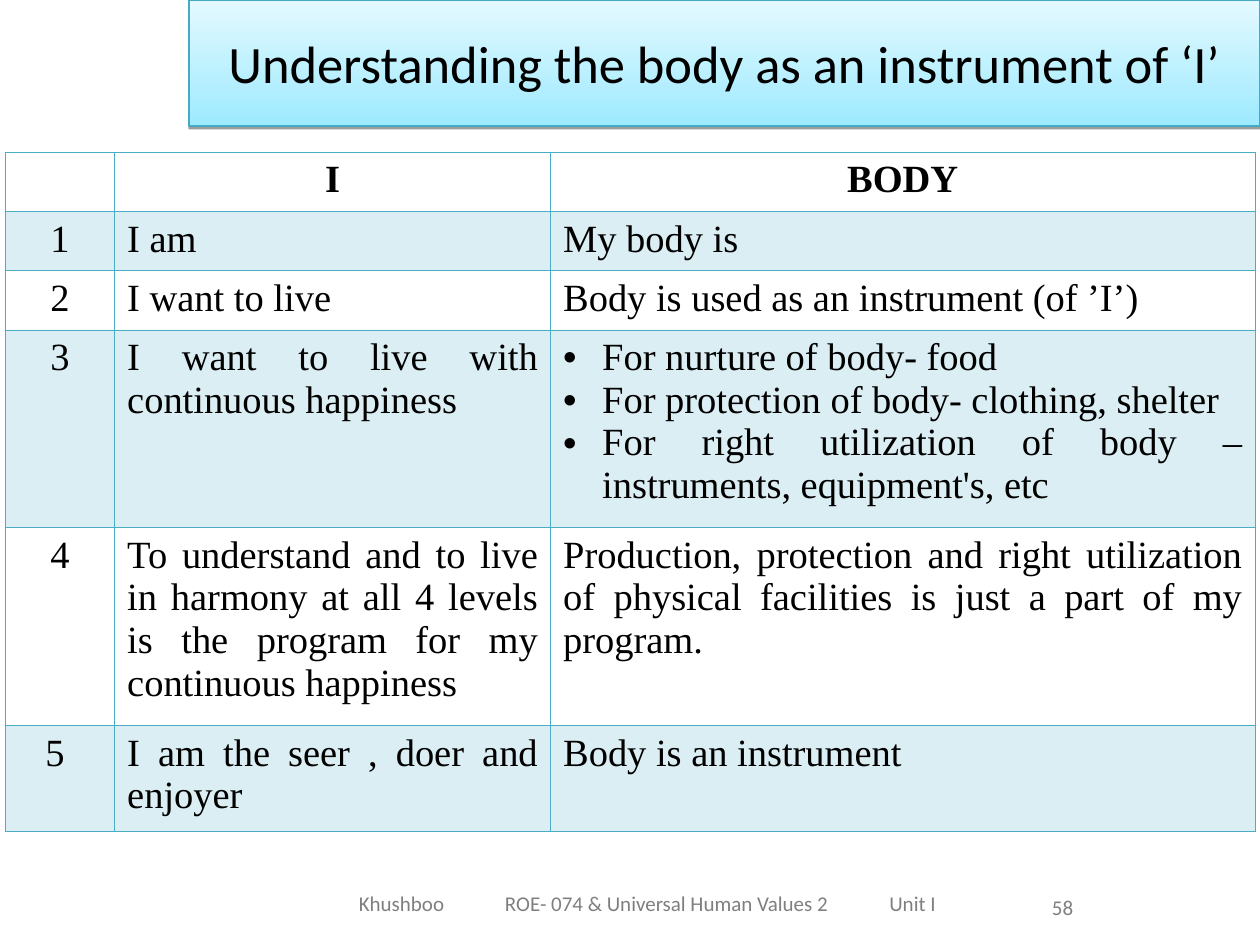
from lxml.etree import SubElement
from pptx import Presentation
from pptx.dml.color import RGBColor
from pptx.enum.text import MSO_ANCHOR as Anchor, MSO_AUTO_SIZE as AutoSize, PP_ALIGN as Align
from pptx.oxml import parse_xml
from pptx.oxml.ns import nsdecls, qn
from pptx.util import Inches, Pt

TEAL = "4BACC6"
BLACK = "000000"
GREY = "7F7F7F"
COLUMN_WIDTHS = (0.87, 3.46, 5.59)
ROW_HEIGHTS = (0.47, 0.47, 0.47, 1.57, 1.57, 0.84)
ROWS = (
    ("", "I", "BODY"),
    ("1", "I am", "My body is"),
    ("2", "I want to live", "Body is used as an instrument (of ’I’) "),
    ("3", "I want to live with continuous happiness",
     ("For nurture of body- food",
      "For protection of body- clothing, shelter",
      "For right utilization of body – instruments, equipment's, etc")),
    ("4", "To understand and to live in harmony at all 4 levels is the program for my "
          "continuous happiness",
     "Production, protection and right utilization of physical facilities is just a part "
     "of my program."),
    ("5 ", "I am the seer , doer and enjoyer ", "Body is an instrument "),
)


def colour(code):
    """Turn a hex string into a colour."""
    return RGBColor.from_string(code)


def place(shape, box):
    """Move and size a shape to a box given in inches."""
    shape.left, shape.top, shape.width, shape.height = map(Inches, box)


def format_runs(para, font_name, size, code, bold=False):
    """Give every run of a paragraph its font."""
    for span in para.runs:
        span.font.name = font_name
        span.font.size = Pt(size)
        span.font.bold = bold
        span.font.color.rgb = colour(code)


def add_bullet(para):
    """Give a paragraph a black bullet with a hanging indent."""
    settings = para._p.get_or_add_pPr()
    settings.set("marL", str(Inches(0.31)))
    settings.set("indent", str(-Inches(0.31)))
    bullet_colour = SubElement(settings, qn("a:buClr"))
    SubElement(bullet_colour, qn("a:srgbClr"), val=BLACK)
    SubElement(settings, qn("a:buFont"), typeface="Arial")
    SubElement(settings, qn("a:buChar"), char="•")


def add_tabs(para, stops):
    """Add left tab stops, given in inches, to a paragraph."""
    tab_list = SubElement(para._p.get_or_add_pPr(), qn("a:tabLst"))
    for stop in stops:
        SubElement(tab_list, qn("a:tab"), pos=str(Inches(stop)), algn="l")


def set_borders(cell, widths):
    """Draw the left, right, top and bottom borders of a cell."""
    settings = cell._tc.get_or_add_tcPr()
    for index, (side, width) in enumerate(zip("LRTB", widths)):
        settings.insert(index, parse_xml(
            f'<a:ln{side} {nsdecls("a")} w="{Pt(width)}"><a:solidFill>'
            f'<a:srgbClr val="{TEAL}"/></a:solidFill></a:ln{side}>'))


def shade(cell, banded):
    """Fill a banded cell with pale teal and leave others clear."""
    if not banded:
        cell.fill.background()
        return
    cell.fill.solid()
    cell.fill.fore_color.rgb = colour(TEAL)
    tint = cell._tc.tcPr.find(qn("a:solidFill")).find(qn("a:srgbClr"))
    SubElement(tint, qn("a:alpha"), val="20000")


def fill_cell(cell, content, align, bold):
    """Write one paragraph, or a bulleted list, into a cell."""
    bulleted = isinstance(content, tuple)
    cell.text_frame.text = "\n".join(content) if bulleted else content
    for para in cell.text_frame.paragraphs:
        para.alignment = align
        format_runs(para, "Times New Roman", 22, BLACK, bold)
        if bulleted:
            add_bullet(para)


def build_title(page, box):
    """Format the title as a gradient banner with a soft edge below."""
    title = page.shapes.title
    place(title, box)
    title.fill.gradient()
    title.fill.gradient_angle = 90
    for stop, code in zip(title.fill.gradient_stops, ("9EEAFF", "E4F9FF")):
        stop.color.rgb = colour(code)
    title.line.color.rgb = colour("46AAC5")
    title.line.width = Pt(0.75)
    title.shadow.inherit = False
    effects = title._element.spPr.find(qn("a:effectLst"))
    shadow = SubElement(effects, qn("a:outerShdw"), blurRad="0", dist=str(Pt(1.6)),
                        dir="5400000", rotWithShape="0")
    SubElement(SubElement(shadow, qn("a:srgbClr"), val=BLACK), qn("a:alpha"), val="38000")
    frame = title.text_frame
    frame.text = "Understanding the body as an instrument of ‘I’"
    frame.auto_size = AutoSize.NONE
    frame.word_wrap = True
    frame.vertical_anchor = Anchor.MIDDLE
    frame.paragraphs[0].alignment = Align.CENTER
    format_runs(frame.paragraphs[0], "Calibri", 30, BLACK)


def build_table(page, box):
    """Add the table that compares I with the body."""
    table = page.shapes.add_table(len(ROWS), len(COLUMN_WIDTHS), *map(Inches, box)).table
    table.first_row = table.horz_banding = False
    for column, width in zip(table.columns, COLUMN_WIDTHS):
        column.width = Inches(width)
    for row, height in zip(table.rows, ROW_HEIGHTS):
        row.height = Inches(height)
    for row_index, contents in enumerate(ROWS):
        header = row_index == 0
        top = 0.96 if row_index == 1 else 0.45
        bottom = 0.96 if header else 0.45
        for column_index, content in enumerate(contents):
            cell = table.cell(row_index, column_index)
            centred = header or column_index == 0
            fill_cell(cell, content, Align.CENTER if centred else Align.JUSTIFY, header)
            shade(cell, row_index % 2 == 1)
            set_borders(cell, (0.45, 0.45, top, bottom))


def build_footer(page, box, text, stops=()):
    """Add a line of grey footer text."""
    frame = page.shapes.add_textbox(*map(Inches, box)).text_frame
    frame.word_wrap = True
    para = frame.paragraphs[0]
    para.text = text
    format_runs(para, "Calibri", 12, GREY)
    if stops:
        add_tabs(para, stops)


def main():
    """Build the slide and save the deck."""
    deck = Presentation()
    deck.slide_width, deck.slide_height = Inches(10), Inches(7.5)
    page = deck.slides.add_slide(deck.slide_layouts[5])
    build_title(page, (1.5, 0, 8.5, 1))
    build_table(page, (0.04, 1.21, sum(COLUMN_WIDTHS), sum(ROW_HEIGHTS)))
    build_footer(page, (2.75, 7.02, 5.5, 0.4),
                 "Khushboo\tROE- 074 & Universal Human Values 2\tUnit I", (1.16, 4.21))
    build_footer(page, (8.25, 7.05, 1.75, 0.4), "58")
    deck.save("out.pptx")


if __name__ == "__main__":
    main()
